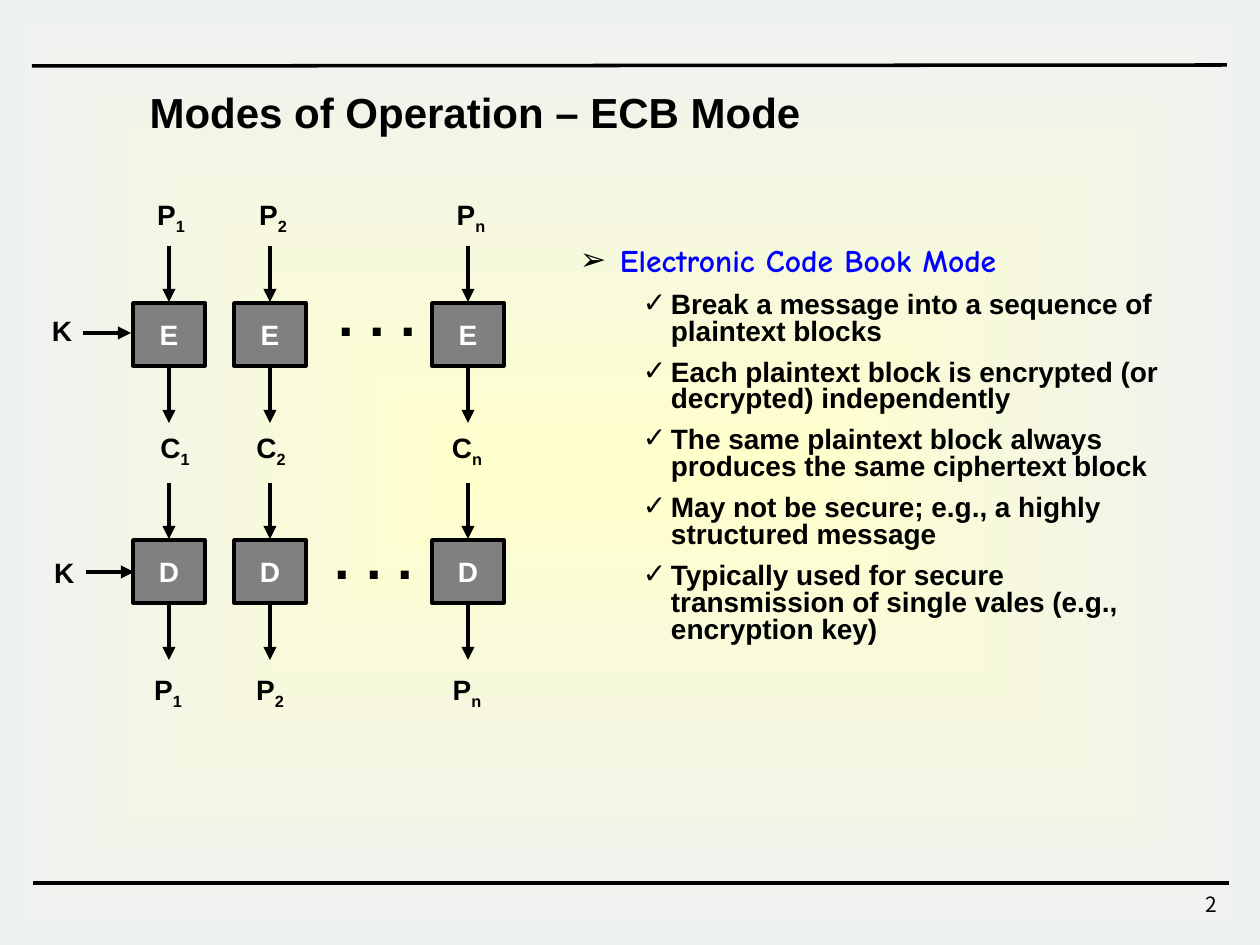
from lxml.etree import SubElement
from pptx import Presentation
from pptx.dml.color import RGBColor
from pptx.enum.shapes import MSO_CONNECTOR, MSO_SHAPE
from pptx.enum.text import MSO_ANCHOR as ANCHOR, MSO_AUTO_SIZE as AUTO_SIZE, PP_ALIGN as ALIGN
from pptx.oxml.ns import qn
from pptx.util import Pt

PX = 914400 // 126
BLACK, WHITE, GRAY, BLUE = "000000", "FFFFFF", "808080", "0000FF"
rgb = RGBColor.from_string

presentation = Presentation()
presentation.slide_width = 1260 * PX
presentation.slide_height = 945 * PX
slide = presentation.slides.add_slide(presentation.slide_layouts[1])
shapes = slide.shapes
title, body = slide.placeholders


def add_line(x1, y1, x2, y2, width=2.5, arrow=True):
    line = shapes.add_connector(MSO_CONNECTOR.STRAIGHT, x1 * PX, y1 * PX, x2 * PX, y2 * PX)
    line.line.color.rgb = rgb(BLACK)
    line.line.width = Pt(width)
    if arrow:
        SubElement(line.line._get_or_add_ln(), qn("a:tailEnd"), type="triangle")
    SubElement(line._element.spPr, qn("a:effectLst"))


def write_label(shape, text, subscript="", size=16, color=BLACK):
    """Centre bold text in a shape without insets, with an optional subscript."""
    frame = shape.text_frame
    frame.margin_left = frame.margin_right = frame.margin_top = frame.margin_bottom = 0
    frame.word_wrap = False
    paragraph = frame.paragraphs[0]
    paragraph.text = text
    paragraph.alignment = ALIGN.CENTER
    if subscript:
        run = paragraph.add_run()
        run.text = subscript
        run._r.get_or_add_rPr().set("baseline", "-25000")
    for run in paragraph.runs:
        run.font.name = "Arial"
        run.font.size = Pt(size)
        run.font.bold = True
        run.font.color.rgb = rgb(color)


# Background glow and frame lines
background = shapes.add_shape(MSO_SHAPE.RECTANGLE, 0, 0, 1260 * PX, 945 * PX)
background.shadow.inherit = False
background.line.fill.background()
background.fill.gradient()
for stop, color in zip(background.fill.gradient_stops, ("FFFFCC", "EEF1F2")):
    stop.color.rgb = rgb(color)
gradient = background._element.spPr.find(qn("a:gradFill"))
gradient.remove(gradient.find(qn("a:lin")))
glow = SubElement(gradient, qn("a:path"), path="shape")
SubElement(glow, qn("a:fillToRect"), l="50000", t="50000", r="50000", b="50000")
title._element.addprevious(background._element)

add_line(32, 66, 1227, 65, width=2, arrow=False)
add_line(33, 883, 1229, 883, width=2, arrow=False)

page_number = shapes.add_textbox(968 * PX, 885 * PX, 262 * PX, 42 * PX)
page_number.text_frame.text = "2"
paragraph = page_number.text_frame.paragraphs[0]
paragraph.alignment = ALIGN.RIGHT
paragraph.runs[0].font.name = "Noto Sans CJK KR"
paragraph.runs[0].font.size = Pt(12)
paragraph.runs[0].font.color.rgb = rgb(BLACK)

# Title
title.left, title.top, title.width, title.height = 137 * PX, 80 * PX, 720 * PX, 63 * PX
title.text_frame.text = "Modes of Operation – ECB Mode"
title.text_frame.word_wrap = False
title.text_frame.auto_size = AUTO_SIZE.NONE
title.text_frame.vertical_anchor = ANCHOR.TOP
paragraph = title.text_frame.paragraphs[0]
paragraph.alignment = ALIGN.LEFT
font = paragraph.runs[0].font
font.name, font.size, font.bold = "Arial", Pt(24), True
font.color.rgb = rgb(BLACK)

# Description list
body.left, body.top, body.width, body.height = 580 * PX, 241 * PX, 585 * PX, 461 * PX
frame = body.text_frame
frame.margin_left = frame.margin_right = frame.margin_top = frame.margin_bottom = 0
frame.word_wrap = True
frame.auto_size = AUTO_SIZE.NONE
frame.text = "\n".join([
    "Electronic Code Book Mode",
    "Break a message into a sequence of plaintext blocks",
    "Each plaintext block is encrypted (or decrypted) independently",
    "The same plaintext block always produces the same ciphertext block",
    "May not be secure; e.g., a highly structured message",
    "Typically used for secure transmission of single vales (e.g., encryption key)",
])
for index, paragraph in enumerate(frame.paragraphs):
    if index == 0:
        bullet, margin, indent = "➢", 40, -40
        name, size, color, line_spacing, space_before = "Comic Neue", 18, BLUE, 1.0, 0
    else:
        bullet, margin, indent = "✓", 91, -28
        name, size, color, line_spacing, space_before = "Arial", 16, BLACK, 0.8, 8
        paragraph.level = 1
    properties = paragraph._p.get_or_add_pPr()
    properties.set("marL", str(margin * PX))
    properties.set("indent", str(indent * PX))
    bullet_color = SubElement(properties, qn("a:buClr"))
    SubElement(bullet_color, qn("a:srgbClr"), val=BLACK)
    SubElement(properties, qn("a:buChar"), char=bullet)
    paragraph.line_spacing = line_spacing
    paragraph.space_before = Pt(space_before)
    font = paragraph.runs[0].font
    font.name, font.size, font.bold = name, Pt(size), True
    font.color.rgb = rgb(color)

# Encryption and decryption blocks with the arrows between the rows
COLUMNS = (169, 270, 468)
for center in COLUMNS:
    for letter, top in (("E", 303), ("D", 540)):
        block = shapes.add_shape(MSO_SHAPE.RECTANGLE, (center - 36) * PX, top * PX, 72 * PX, 63 * PX)
        block.shadow.inherit = False
        block.fill.solid()
        block.fill.fore_color.rgb = rgb(GRAY)
        block.line.color.rgb = rgb(BLACK)
        block.line.width = Pt(2)
        block.text_frame.vertical_anchor = ANCHOR.MIDDLE
        write_label(block, letter, color=WHITE)
    for top in (246, 367, 483, 604):
        add_line(center, top, center, top + 56)

# Plaintext and ciphertext labels
label_rows = [
    ("P", 198, (171, 273, 471)),
    ("C", 431, (175, 271, 467)),
    ("P", 673, (168, 270, 467)),
]
for letter, top, centers in label_rows:
    for center, subscript in zip(centers, "12n"):
        label = shapes.add_textbox((center - 22) * PX, top * PX, 44 * PX, 34 * PX)
        write_label(label, letter, subscript)

# Keys
for left, top, arrow_left, arrow_y in ((52, 314, 83, 333), (54, 556, 86, 572)):
    key = shapes.add_textbox(left * PX, top * PX, 20 * PX, 34 * PX)
    write_label(key, "K")
    add_line(arrow_left, arrow_y, arrow_left + 48, arrow_y)

# Dots for the blocks left out
for left, top in ((338, 281), (335, 524)):
    dots = shapes.add_textbox(left * PX, top * PX, 78 * PX, 67 * PX)
    write_label(dots, ". . .", size=32)

presentation.save("out.pptx")
